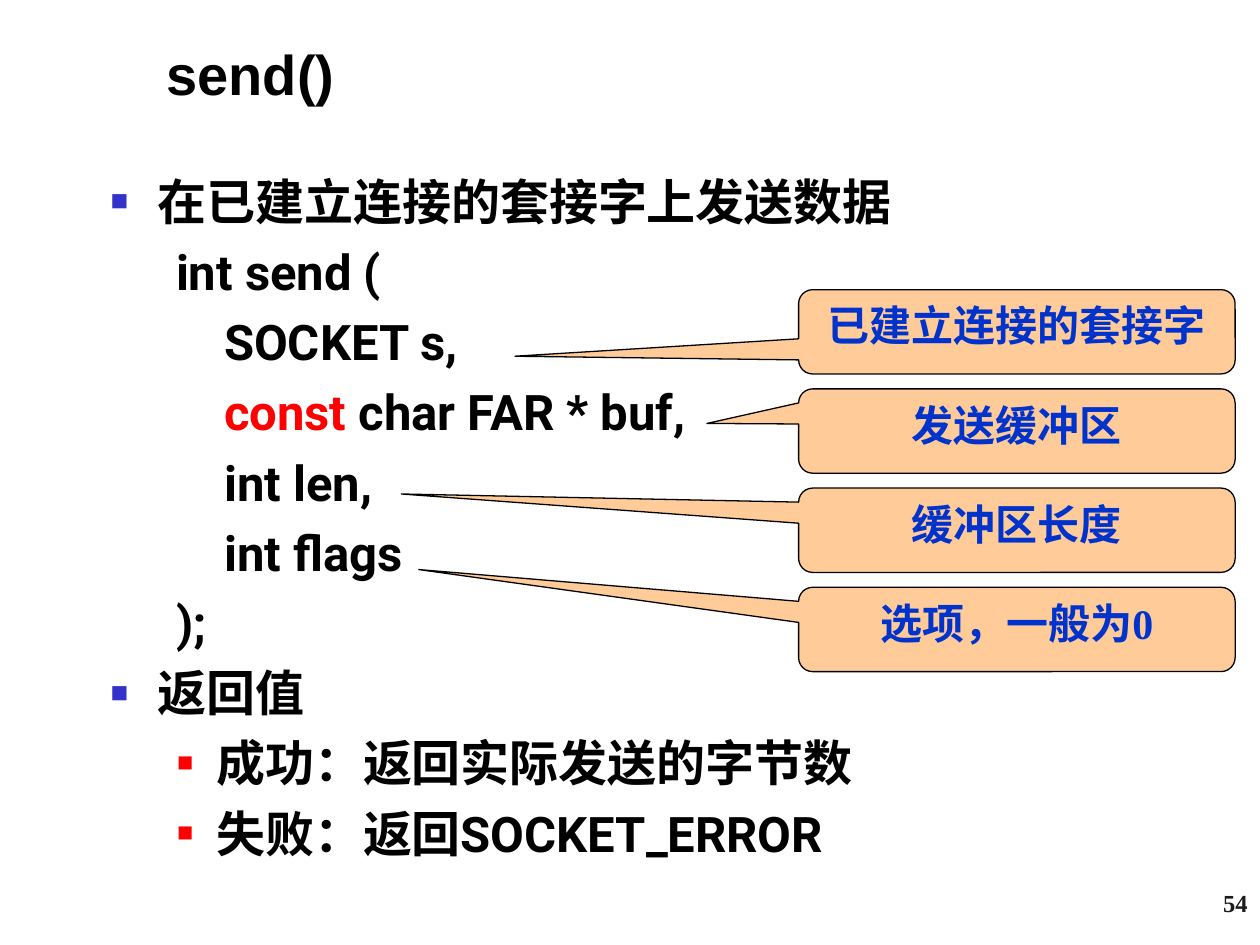
from lxml.etree import SubElement
from pptx import Presentation
from pptx.dml.color import RGBColor
from pptx.enum.shapes import MSO_SHAPE as SHAPE
from pptx.enum.text import MSO_ANCHOR as ANCHOR, PP_ALIGN as ALIGN
from pptx.oxml.ns import qn
from pptx.util import Cm, Pt

COLORS = {
    "text": "000000", "keyword": "FF0000", "bullet": "3333CC", "sub_bullet": "FF0000",
    "callout": "FFCC99", "callout_text": "0033CC", "number": "1C1C1C",
}

# Paragraph styles: left margin and first-line indent in cm, bullet colour and size in %
STYLES = {
    "point": (0.95, -0.95, "bullet", 60),
    "code": (1.32, 0, None, None),
    "argument": (2.29, 0, None, None),
    "sub_point": (2.13, -0.79, "sub_bullet", 55),
}

BODY = [
    ("point", [("在已建立连接的套接字上发送数据", "text")]),
    ("code", [("int send (", "text")]),
    ("argument", [("SOCKET s,", "text")]),
    ("argument", [("const", "keyword"), (" char FAR * buf,", "text")]),
    ("argument", [("int len,", "text")]),
    ("argument", [("int flags", "text")]),
    ("code", [(");", "text")]),
    ("point", [("返回值", "text")]),
    ("sub_point", [("成功：返回实际发送的字节数", "text")]),
    ("sub_point", [("失败：返回SOCKET_ERROR", "text")]),
]

# Callout text and the tip of its pointer, relative to the callout's centre
CALLOUTS = [
    ("已建立连接的套接字", -1.15, 0.29),
    ("发送缓冲区", -0.71, -0.09),
    ("缓冲区长度", -1.41, -0.43),
    ("选项，一般为0", -1.37, -0.71),
]


def rgb(name):
    return RGBColor.from_string(COLORS[name])


def add_text(p, text, font="Times New Roman", size=24, color="text", align=None):
    r = p.add_run()
    r.text = text
    r.font.name, r.font.size, r.font.bold = font, Pt(size), True
    r.font.color.rgb = rgb(color)
    if align is not None:
        p.alignment = align


def set_style(p, style):
    margin, indent, color, size = STYLES[style]
    p.space_before = Pt(6.5)
    pPr = p._p.get_or_add_pPr()
    pPr.set("marL", str(Cm(margin)))
    pPr.set("indent", str(Cm(indent)))
    if color:
        SubElement(SubElement(pPr, qn("a:buClr")), qn("a:srgbClr"), val=COLORS[color])
        SubElement(pPr, qn("a:buSzPct"), val=str(size * 1000))
        SubElement(pPr, qn("a:buFont"), typeface="Arial")
        SubElement(pPr, qn("a:buChar"), char="■")


def place_title(s, x, y, w, h):
    title = s.shapes.title
    title.left, title.top, title.width, title.height = Cm(x), Cm(y), Cm(w), Cm(h)
    tf = title.text_frame
    tf.vertical_anchor = ANCHOR.MIDDLE
    add_text(tf.paragraphs[0], "send()", font="Arial", size=32, align=ALIGN.LEFT)


def add_body(s, x, y, w, h):
    tf = s.shapes.add_textbox(Cm(x), Cm(y), Cm(w), Cm(h)).text_frame
    tf.word_wrap = True
    for i, (style, runs) in enumerate(BODY):
        p = tf.add_paragraph() if i else tf.paragraphs[0]
        set_style(p, style)
        for text, color in runs:
            add_text(p, text, font="Roboto", size=28, color=color)


def add_callouts(s, x, y, w, h):
    pitch = 2
    box_h = h - pitch * (len(CALLOUTS) - 1)
    for i, (text, tip_x, tip_y) in enumerate(CALLOUTS):
        sp = s.shapes.add_shape(SHAPE.ROUNDED_RECTANGULAR_CALLOUT,
                                Cm(x), Cm(y + i * pitch), Cm(w), Cm(box_h))
        sp.adjustments[0], sp.adjustments[1] = tip_x, tip_y
        sp.shadow.inherit = False
        sp.fill.solid()
        sp.fill.fore_color.rgb = rgb("callout")
        sp.line.color.rgb = rgb("text")
        sp.line.width = Pt(0.75)
        tf = sp.text_frame
        tf.vertical_anchor = ANCHOR.TOP
        add_text(tf.paragraphs[0], text, color="callout_text", align=ALIGN.CENTER)


def add_page_number(s, x, y, w, h):
    tf = s.shapes.add_textbox(Cm(x), Cm(y), Cm(w), Cm(h)).text_frame
    tf.word_wrap = True
    add_text(tf.paragraphs[0], "54", size=14, color="number", align=ALIGN.RIGHT)


def main():
    prs = Presentation()
    prs.slide_width, prs.slide_height = Cm(25.4), Cm(19.05)
    s = prs.slides.add_slide(prs.slide_layouts[5])
    place_title(s, 3.1, 0.43, 19.9, 2.1)
    add_body(s, 1.98, 3.33, 20.52, 12.8)
    add_callouts(s, 16.1, 5.84, 8.8, 7.7)
    add_page_number(s, 20.12, 17.78, 5.28, 1.27)
    prs.save("out.pptx")


if __name__ == "__main__":
    main()
